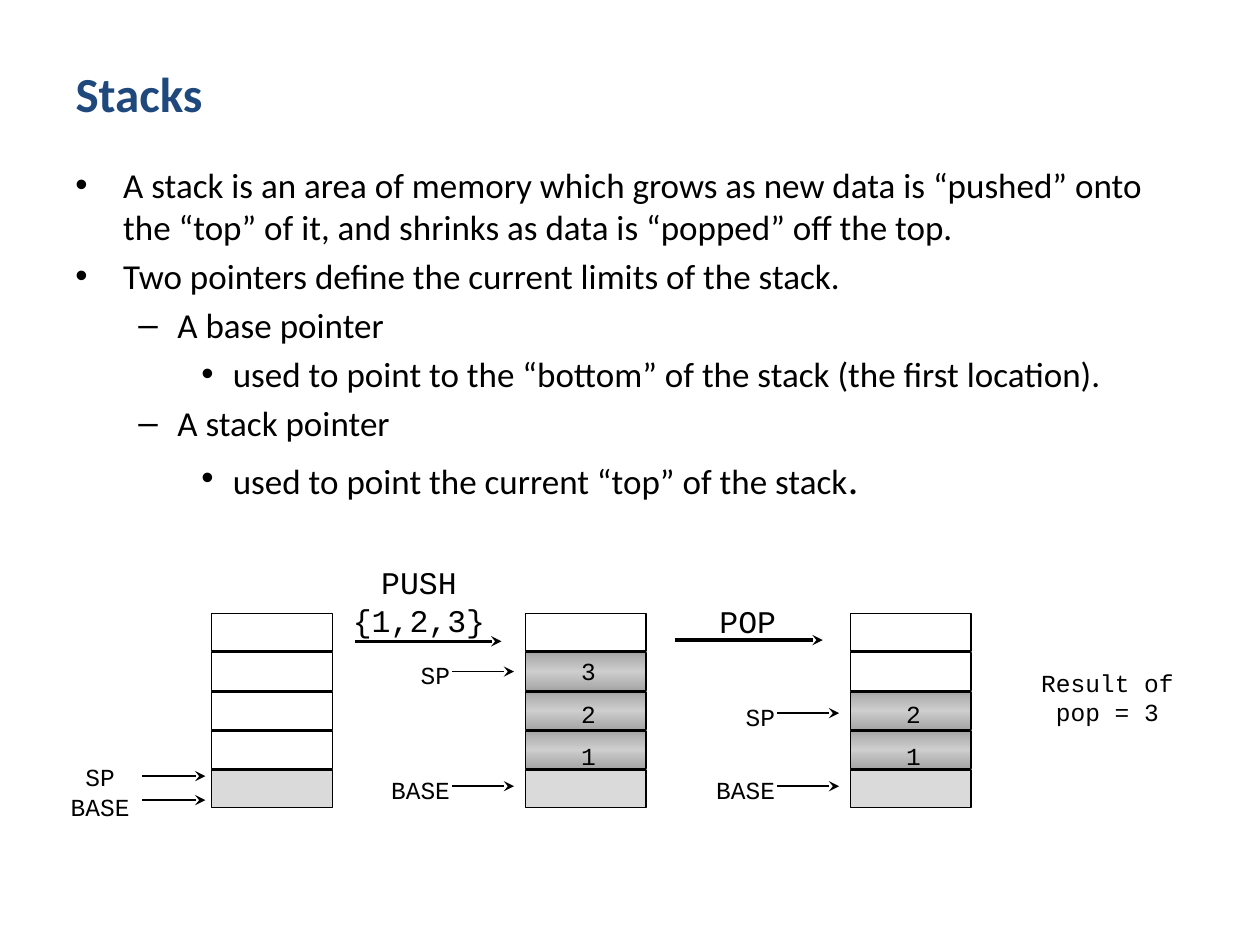
"""Build the slide on stacks, with push and pop shown on three stacks."""
from lxml.etree import SubElement as Sub
from pptx import Presentation
from pptx.dml.color import RGBColor as Rgb
from pptx.enum.shapes import MSO_CONNECTOR as Link, MSO_SHAPE as Kind
from pptx.enum.text import MSO_ANCHOR as Anchor, PP_ALIGN as Align
from pptx.oxml.ns import qn
from pptx.util import Inches, Pt

HUES = {"title": "1F497D", "ink": "000000", "base": "DADADA",
        "edge": "A5A5A5", "mid": "CECECE"}
MONO = "Courier New"

deck = Presentation()
deck.slide_width, deck.slide_height = Inches(10), Inches(7.5)
slide = deck.slides.add_slide(deck.slide_layouts[5])
shapes = slide.shapes


def label(text, left, top, width, height, size=14, align=Align.CENTER):
    frame = shapes.add_textbox(
        Inches(left), Inches(top), Inches(width), Inches(height)).text_frame
    frame.word_wrap = True
    para = frame.paragraphs[0]
    para.alignment = align
    for i, line in enumerate(text.split("\n")):
        if i:
            para.add_line_break()
        run = para.add_run()
        run.text = line
        run.font.size, run.font.name = Pt(size), MONO
        run.font.color.rgb = Rgb.from_string(HUES["ink"])


def arrow(left, top, width, weight=1):
    line = shapes.add_connector(
        Link.STRAIGHT, Inches(left), Inches(top), Inches(left + width), Inches(top))
    line.line.color.rgb = Rgb.from_string(HUES["ink"])
    line.line.width = Pt(weight)
    Sub(line.line._get_or_add_ln(), qn("a:tailEnd"), type="stealth")
    Sub(line._element.spPr, qn("a:effectLst"))


title = shapes.title
title.left, title.top = Inches(0.5), Inches(0.3)
title.width, title.height = Inches(9), Inches(0.87)
title.text_frame.vertical_anchor = Anchor.MIDDLE
para = title.text_frame.paragraphs[0]
para.alignment = Align.LEFT
run = para.add_run()
run.text = "Stacks"
run.font.size, run.font.name, run.font.bold = Pt(28), "Calibri", True
run.font.color.rgb = Rgb.from_string(HUES["title"])

points = [
    (0, [("A stack is an area of memory which grows as new data is “pushed” onto "
          "the “top” of it, and shrinks as data is “popped” off the top.", 20)]),
    (0, [("Two pointers define the current limits of the stack.", 20)]),
    (1, [("A base pointer", 20)]),
    (2, [("used to point to the “bottom” of the stack (the first location).", 20)]),
    (1, [("A stack pointer", 20)]),
    (2, [("used to point the current “top” of the stack", 20), (".", 24)]),
]
levels = [(0.38, 0.38, "•"), (0.81, 0.31, "–"), (1.25, 0.25, "•")]
body = shapes.add_textbox(
    Inches(0.5), Inches(1.25), Inches(9), Inches(5.45)).text_frame
body.word_wrap = True
for i, (level, runs) in enumerate(points):
    para = body.add_paragraph() if i else body.paragraphs[0]
    para.level = level
    para.space_before = Pt(0.2 * runs[-1][1])
    margin, hang, mark = levels[level]
    props = para._p.get_or_add_pPr()
    props.set("marL", str(Inches(margin)))
    props.set("indent", str(-Inches(hang)))
    Sub(props, qn("a:buFont"), typeface="Arial")
    Sub(props, qn("a:buChar"), char=mark)
    for text, size in runs:
        run = para.add_run()
        run.text = text
        run.font.size, run.font.name = Pt(size), "Calibri"
        run.font.color.rgb = Rgb.from_string(HUES["ink"])

for left, count in [(1.68, 0), (4.17, 3), (6.75, 2)]:
    for row in range(5):
        cell = shapes.add_shape(
            Kind.RECTANGLE, Inches(left), Inches(4.87 + 0.31 * row),
            Inches(0.96), Inches(0.3))
        cell.shadow.inherit = False
        cell.line.color.rgb = Rgb.from_string(HUES["ink"])
        cell.line.width = Pt(1)
        if row == 4:
            cell.fill.solid()
            cell.fill.fore_color.rgb = Rgb.from_string(HUES["base"])
        elif row >= 4 - count:
            cell.fill.gradient()
            cell.fill.gradient_angle = 90
            stops = cell._element.spPr.find(qn("a:gradFill")).find(qn("a:gsLst"))
            for stop in list(stops):
                stops.remove(stop)
            for pos, hue in [(0, "edge"), (50000, "mid"), (100000, "edge")]:
                stop = Sub(stops, qn("a:gs"), pos=str(pos))
                Sub(stop, qn("a:srgbClr"), val=HUES[hue])
        else:
            cell.fill.background()
    for n in range(count):
        label(str(n + 1), left, 5.83 - 0.335 * n, 1, 0.34)

label("SP\nBASE", 0.42, 6, 0.75, 0.57)
for top in (6.16, 6.35):
    arrow(1.13, top, 0.5)

for text, left, top in [("SP", 2.92, 5.19), ("BASE", 2.92, 6.1),
                        ("SP", 5.5, 5.52), ("BASE", 5.5, 6.1)]:
    label(text, left, top, 0.75, 0.34, align=Align.RIGHT)
    arrow(left + 0.67, top + 0.14, 0.49)

label("PUSH {1,2,3}", 2.67, 4.42, 1.31, 0.71, 18)
arrow(2.82, 5.09, 1.16, 2)
label("POP", 5.28, 4.73, 1.31, 0.4, 18)
arrow(5.36, 5.08, 1.17, 2)
label("Result of pop = 3", 8, 5.25, 1.58, 0.57)

deck.save("out.pptx")
